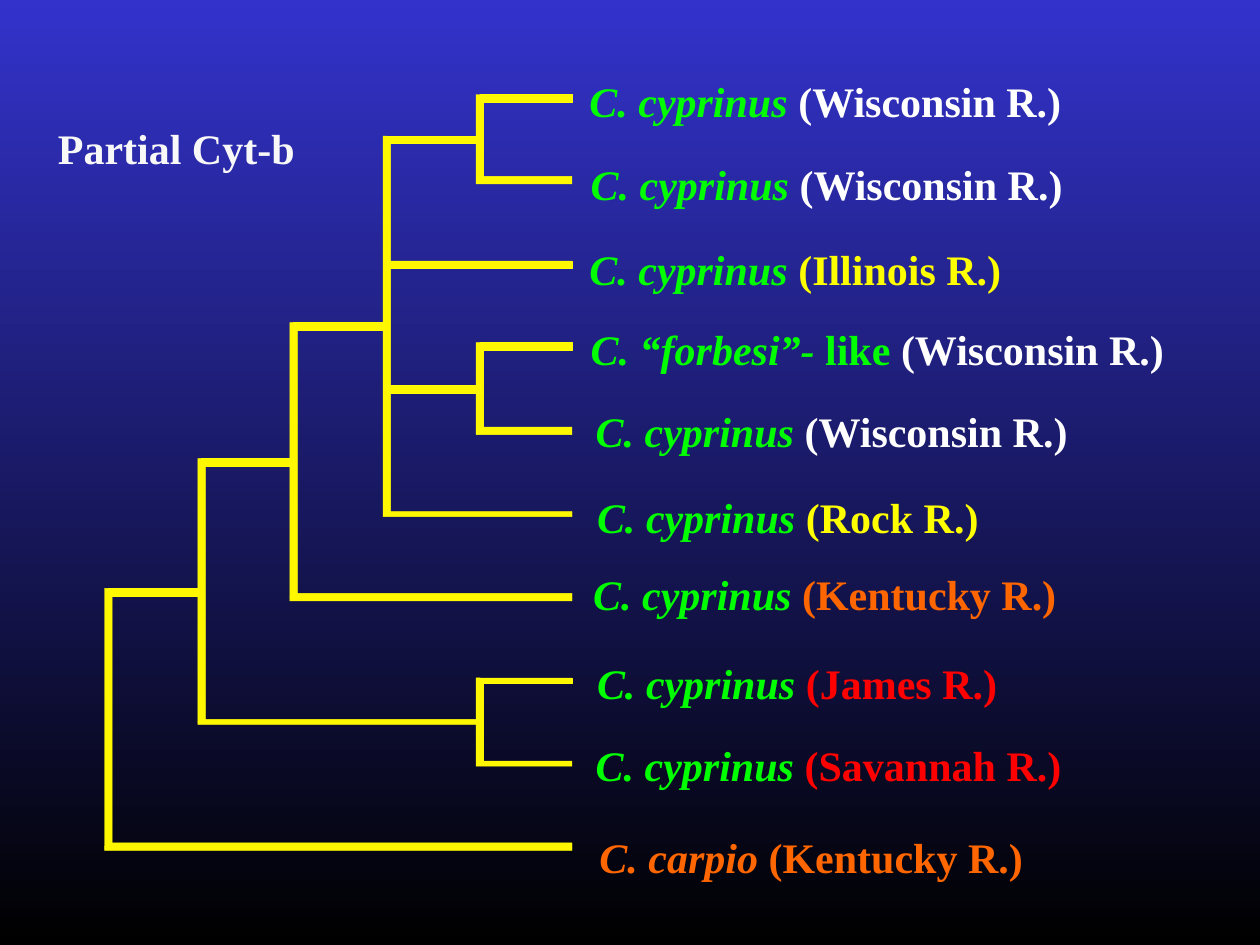
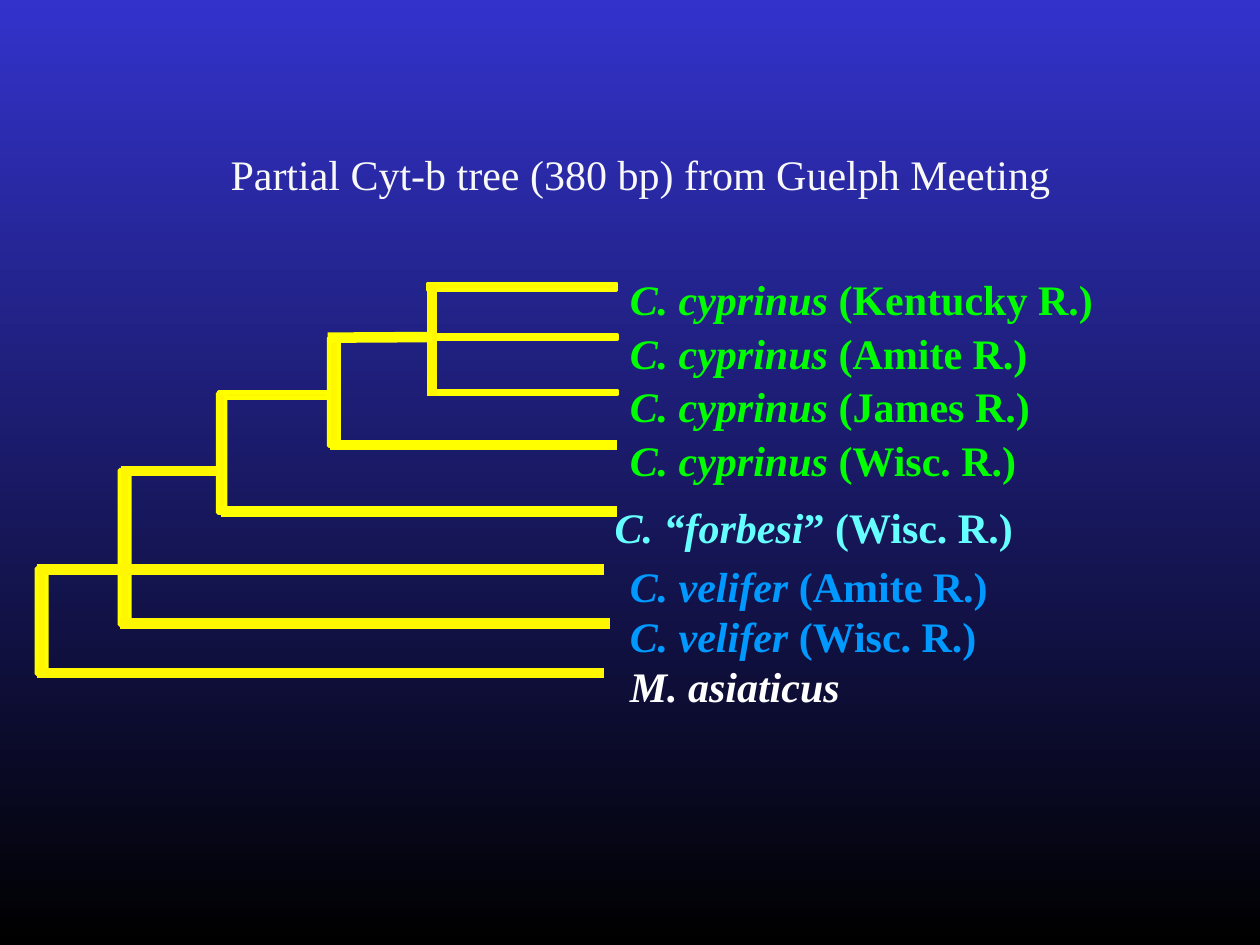
"""Build two slides of cytochrome-b trees with labelled tips."""
from dataclasses import dataclass

from pptx import Presentation
from pptx import util as u
from pptx.dml.color import RGBColor
from pptx.enum import shapes, text
from pptx.oxml.ns import qn
from lxml import etree


@dataclass(frozen=True)
class Theme:
    """Colours and type sizes shared by the slides."""
    sky: str = "3333CC"
    night: str = "000000"
    branch: str = "FFF700"
    yellow: str = "FFFF00"
    green: str = "00FF00"
    orange: str = "FF6600"
    red: str = "FF0000"
    cyan: str = "66FFFF"
    blue: str = "0099FF"
    white: str = "FFFFFF"
    title: str = "F8F8F8"
    face: str = "Times New Roman"
    size: int = 24
    hairline: float = 0.25
    outline: float = 2.25
    stroke: int = 6


THEME = Theme()
FRAME = {"word_wrap": True, "auto_size": text.MSO_AUTO_SIZE.NONE,
         "vertical_anchor": text.MSO_ANCHOR.TOP}
LINE_HEIGHT = 0.5
COLUMNS = (0.86, 1.6, 2.33, 3.07, 3.81, 4.54)


def assign(target, values):
    """Set each named attribute on the target."""
    for name, value in values.items():
        setattr(target, name, value)


def place(left, top, width, height):
    """Return a position as attribute values."""
    return {"left": u.Inches(left), "top": u.Inches(top),
            "width": u.Inches(width), "height": u.Inches(height)}


class TreeDeck:
    """Hold the style and the current slide of a deck of trees."""

    def __init__(self, theme):
        """Create the deck with its gradient background."""
        self.theme = theme
        self.weight = theme.hairline
        self.page = None
        self.deck = Presentation()
        assign(self.deck, {"slide_width": u.Inches(10), "slide_height": u.Inches(7.5)})
        fill = self.deck.slide_master.background.fill
        fill.gradient()
        fill.gradient_angle = 270
        for stop, colour in zip(fill.gradient_stops, (theme.sky, theme.night)):
            stop.color.rgb = RGBColor.from_string(colour)

    def start_page(self, title, left, top, width, bold, weight):
        """Add a slide, its title and the outline weight of its bars."""
        self.weight = weight
        self.page = self.deck.slides.add_slide(self.deck.slide_layouts[5])
        box = self.page.shapes.title
        assign(box, place(left, top, width, LINE_HEIGHT))
        self.fill_text(box, [(title, self.theme.title, False)], bold)

    def fill_text(self, box, spans, bold=True):
        """Fill a box with one line of coloured spans."""
        assign(box.text_frame, FRAME)
        para = box.text_frame.paragraphs[0]
        para.alignment = text.PP_ALIGN.LEFT
        for words, colour, italic in spans:
            span = para.add_run()
            span.text = words
            assign(span.font, {"name": self.theme.face, "size": u.Pt(self.theme.size),
                               "bold": bold, "italic": italic})
            span.font.color.rgb = RGBColor.from_string(colour)

    def label(self, left, top, width, spans):
        """Add the name at one tip of the tree."""
        box = self.page.shapes.add_textbox(*place(left, top, width, LINE_HEIGHT).values())
        self.fill_text(box, spans)

    def paint(self, shape):
        """Give a branch shape its fill and outline."""
        shape.shadow.inherit = False
        shape.fill.solid()
        shape.fill.fore_color.rgb = RGBColor.from_string(self.theme.branch)
        shape.line.color.rgb = RGBColor.from_string(self.theme.yellow)
        shape.line.width = u.Pt(self.weight)
        return shape

    def bar(self, left, top, width, height):
        """Add a rectangular branch."""
        return self.paint(self.page.shapes.add_shape(
            shapes.MSO_SHAPE.RECTANGLE, *place(left, top, width, height).values()))

    def outline(self, points):
        """Add a closed branch through the points."""
        corners = [(u.Inches(x), u.Inches(y)) for x, y in points]
        builder = self.page.shapes.build_freeform(*corners[0], scale=1.0)
        builder.add_line_segments(corners[1:], close=True)
        self.paint(builder.convert_to_shape())

    def stem(self, left, top, width, bottom, cut):
        """Add an upright branch with a pointed top."""
        right = left + width
        self.outline([(left + width / 2, top), (right, top + cut), (right, bottom),
                      (left, bottom), (left, top)])

    def foot(self, left, top, right, height):
        """Add a level branch with a cut upper corner."""
        bottom = top + height
        self.outline([(left, top + height / 2), (left + 0.03, top), (right, top),
                      (right, bottom), (left, bottom)])

    def fork(self, column, arm_end, top, arm, foot_end, base, thickness):
        """Add an upper arm, a stem and a lower arm."""
        x = COLUMNS[column]
        self.bar(x, top, COLUMNS[arm_end] - x, arm)
        self.stem(x - 0.03, top, 0.06, base + thickness / 2, 0.03)
        self.foot(x - 0.03, base, COLUMNS[foot_end], thickness)

    def line(self, start, end, colour):
        """Add a thick straight branch."""
        connector = self.page.shapes.add_connector(
            shapes.MSO_CONNECTOR.STRAIGHT, *map(u.Inches, start + end))
        connector.line.color.rgb = RGBColor.from_string(colour)
        connector.line.width = u.Pt(self.theme.stroke)
        etree.SubElement(connector._element.spPr, qn("a:effectLst"))
        return connector


def build_river_tree(tree):
    """Build the ten-tip tree of river samples."""
    tree.start_page("Partial Cyt-b", 0.36, 0.92, 2.3, True, THEME.hairline)
    for fork in (
        (0, 1, 4.67, 0.06, 5, 6.69, 0.06),
        (1, 2, 3.64, 0.06, 4, 5.71, 0.04),
        (2, 3, 2.56, 0.06, 5, 4.71, 0.06),
        (3, 4, 1.08, 0.06, 5, 4.06, 0.04),
        (4, 5, 0.75, 0.06, 5, 1.4, 0.06),
        (4, 5, 2.72, 0.06, 5, 3.39, 0.06),
        (4, 5, 5.38, 0.04, 5, 6.04, 0.04),
    ):
        tree.fork(*fork)
    for end, top in ((5, 2.07), (4, 3.06)):
        tree.bar(COLUMNS[3], top, COLUMNS[end] - COLUMNS[3], 0.06)
    carpsucker = [("C. cyprinus ", THEME.green, True)]
    forbesi = [("C. “forbesi”- ", THEME.green, True), ("like ", THEME.green, False)]
    carpio = [("C. carpio ", THEME.orange, True)]
    for left, top, species, river, colour in (
        (4.58, 0.55, carpsucker, "Wisconsin", THEME.white),
        (4.59, 1.21, carpsucker, "Wisconsin", THEME.white),
        (4.58, 1.88, carpsucker, "Illinois", THEME.yellow),
        (4.59, 2.52, forbesi, "Wisconsin", THEME.white),
        (4.63, 3.17, carpsucker, "Wisconsin", THEME.white),
        (4.64, 3.85, carpsucker, "Rock", THEME.yellow),
        (4.61, 4.46, carpsucker, "Kentucky", THEME.orange),
        (4.64, 5.17, carpsucker, "James", THEME.red),
        (4.63, 5.82, carpsucker, "Savannah", THEME.red),
        (4.66, 6.55, carpio, "Kentucky", THEME.orange),
    ):
        tree.label(left, top, 5.1, species + [(f"({river} R.)", colour, False)])


def build_meeting_tree(tree):
    """Build the eight-tip tree shown at the meeting."""
    tree.start_page("Partial Cyt-b tree (380 bp) from Guelph Meeting",
                    1.73, 1.13, 6.9, False, THEME.outline)
    tree.bar(1.74, 3.11, 0.86, 0.05)
    tree.bar(3.4, 2.25, 1.49, 0.05)
    amite_twig, _ = [tree.bar(3.43, top, 1.47, 0.03) for top in (2.66, 3.1)]
    for stem in (
        (2.61, 2.68, 0.08, 3.54),
        (1.73, 3.12, 0.06, 4.07),
        (0.95, 3.73, 0.08, 4.96),
        (0.29, 4.51, 0.08, 5.35),
    ):
        tree.stem(*stem, 0.01)
    for start, end, colour in (
        ((0.96, 3.74), (1.72, 3.74), THEME.branch),
        ((0.95, 4.52), (4.79, 4.52), THEME.branch),
        ((3.43, 2.25), (3.43, 3.14), THEME.branch),
        ((0.95, 4.95), (4.84, 4.95), THEME.branch),
        ((0.29, 4.52), (1.02, 4.52), THEME.branch),
        ((0.29, 5.34), (4.79, 5.34), THEME.branch),
        ((1.75, 4.06), (4.9, 4.06), THEME.yellow),
        ((2.62, 3.53), (4.9, 3.53), THEME.yellow),
    ):
        tree.line(start, end, colour)
    tree.line((2.6, 2.68), (3.43, 2.68), THEME.yellow).end_connect(amite_twig, 1)
    for left, top, species, river, colour in (
        (4.9, 2.12, "C. cyprinus", " (Kentucky R.)", THEME.green),
        (4.9, 2.55, "C. cyprinus", " (Amite R.)", THEME.green),
        (4.9, 2.97, "C. cyprinus", " (James R.)", THEME.green),
        (4.9, 3.4, "C. cyprinus", " (Wisc. R.)", THEME.green),
        (4.78, 3.93, "C. “forbesi", "” (Wisc. R.)", THEME.cyan),
        (4.9, 4.4, "C. velifer", " (Amite R.)", THEME.blue),
        (4.9, 4.8, "C. velifer", " (Wisc. R.)", THEME.blue),
    ):
        tree.label(left, top, 4.5, [(species, colour, True), (river, colour, False)])
    tree.label(4.9, 5.19, 4.5, [("M. asiaticus", THEME.white, True)])


def main():
    """Build both slides and save the deck."""
    tree = TreeDeck(THEME)
    build_river_tree(tree)
    build_meeting_tree(tree)
    tree.deck.save("out.pptx")


if __name__ == "__main__":
    main()
